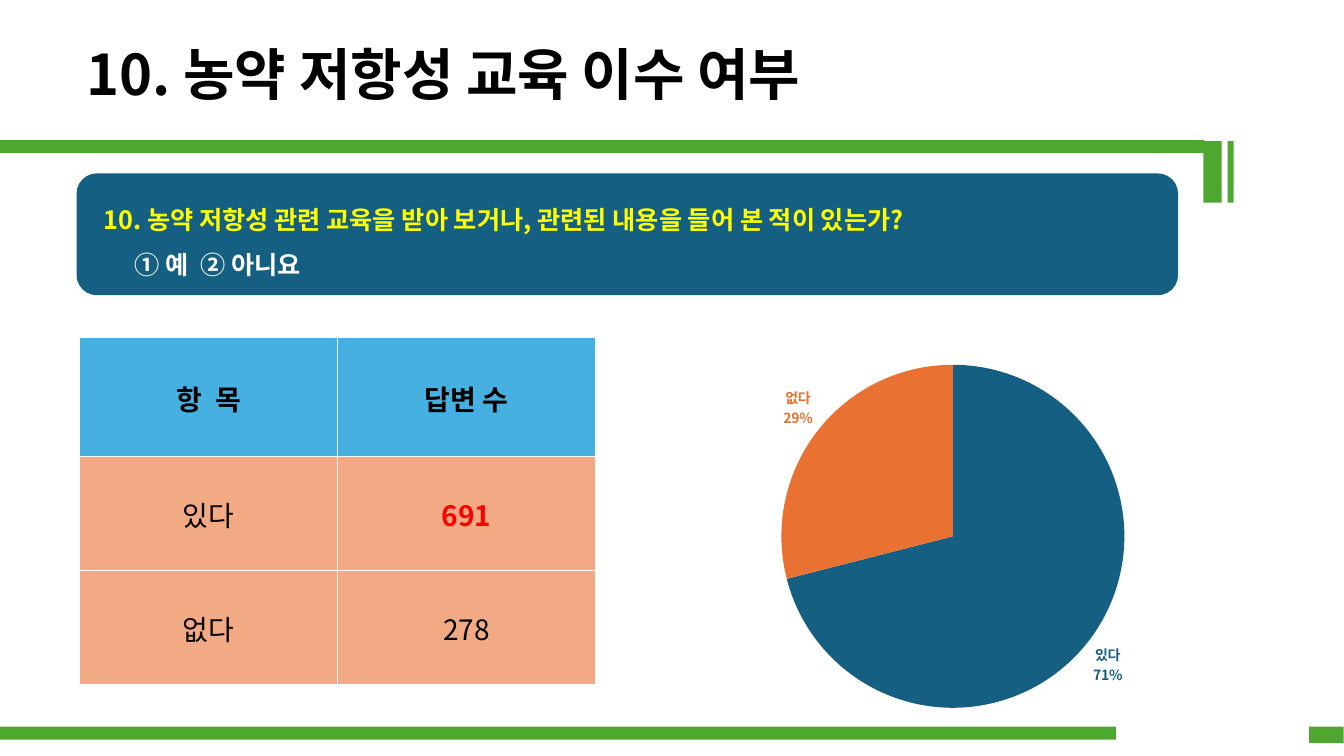
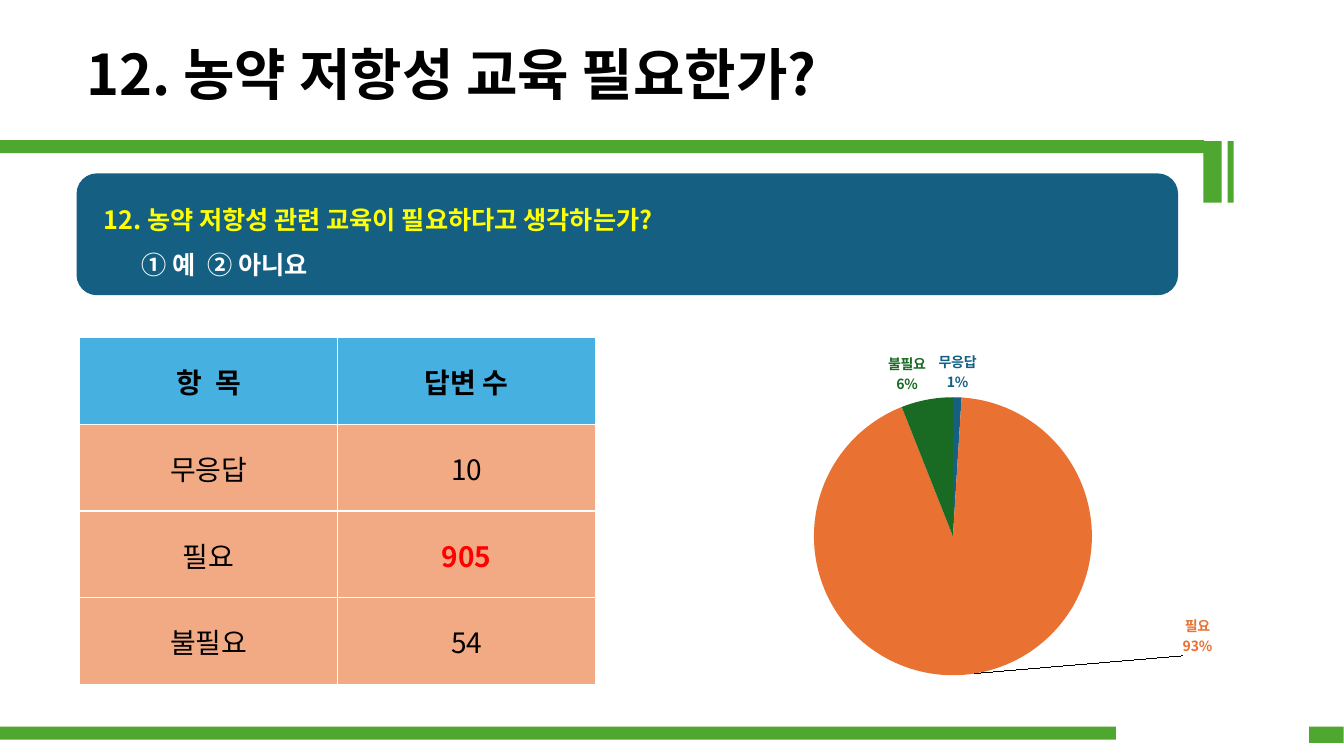
from dataclasses import dataclass
from lxml.etree import SubElement
from pptx import Presentation
from pptx.chart.data import CategoryChartData
from pptx.dml.color import RGBColor
from pptx.enum.chart import XL_CHART_TYPE, XL_LABEL_POSITION
from pptx.enum.shapes import MSO_SHAPE
from pptx.enum.text import MSO_ANCHOR, MSO_AUTO_SIZE, PP_ALIGN
from pptx.oxml.ns import qn
from pptx.util import Cm, Pt


@dataclass(frozen=True)
class Theme:
    font: str = "Noto Sans CJK KR"
    black: str = "000000"
    white: str = "FFFFFF"
    red: str = "FF0000"
    yellow: str = "FFFF00"
    green: str = "4EA72E"
    blue: str = "156082"
    head: str = "46B1E1"
    body: str = "F2AA84"
    slices: tuple = ("156082", "E97132", "196B24")
    title: int = 40
    ask: int = 18
    cell: int = 20
    label: int = 10


theme = Theme()


def add_run(para, text, size, color, bold=True):
    run = para.add_run()
    run.text = text
    run.font.size = Pt(size)
    run.font.bold = bold
    run.font.color.rgb = RGBColor.from_string(color)
    run.font.name = theme.font
    SubElement(run.font._element, qn("a:ea"), typeface=theme.font)


def add_block(slide, kind, box, color):
    block = slide.shapes.add_shape(kind, *[Cm(size) for size in box])
    block.shadow.inherit = False
    block.fill.solid()
    block.fill.fore_color.rgb = RGBColor.from_string(color)
    block.line.fill.background()
    return block


bands = [
    (0, 18.31, 28.12, 0.33),
    (32.99, 18.31, 0.87, 0.41),
    (0, 3.53, 30.35, 0.33),
    (30.33, 3.56, 0.46, 1.55),
    (30.94, 3.56, 0.15, 1.55),
]
pages = [
    {
        "title": "10. 농약 저항성 교육 이수 여부",
        "ask": "10. 농약 저항성 관련 교육을 받아 보거나, 관련된 내용을 들어 본 적이 있는가?",
        "indent": 1.07,
        "rows": [("있다", "691"), ("없다", "278")],
        "top": "691",
        "head": 3,
        "shares": (71, 29),
        "pie": 0.87,
        "moved": {},
    },
    {
        "title": "12. 농약 저항성 교육 필요한가?",
        "ask": "12. 농약 저항성 관련 교육이 필요하다고 생각하는가?",
        "indent": 1.25,
        "rows": [("무응답", "10"), ("필요", "905"), ("불필요", "54")],
        "top": "905",
        "head": 2.18,
        "shares": (1, 93, 6),
        "pie": 0.7,
        "moved": {1: (0.29, -0.16)},
    },
]

deck = Presentation()
deck.slide_width, deck.slide_height = Cm(33.87), Cm(19.05)

for page in pages:
    slide = deck.slides.add_slide(deck.slide_layouts[5])

    title = slide.shapes.title
    title.left, title.top, title.width, title.height = Cm(1.93), Cm(0.86), Cm(20.8), Cm(1.96)
    frame = title.text_frame
    frame.word_wrap = False
    frame.auto_size = MSO_AUTO_SIZE.NONE
    frame.vertical_anchor = MSO_ANCHOR.MIDDLE
    frame.paragraphs[0].alignment = PP_ALIGN.LEFT
    add_run(frame.paragraphs[0], page["title"], theme.title, theme.black)

    panel = add_block(slide, MSO_SHAPE.ROUNDED_RECTANGLE, (1.93, 4.37, 27.76, 3.07), theme.blue)
    frame = panel.text_frame
    frame.word_wrap = True
    frame.vertical_anchor = MSO_ANCHOR.MIDDLE
    lines = [
        (frame.paragraphs[0], page["ask"], theme.yellow, 0.28),
        (frame.add_paragraph(), "① 예  ② 아니요", theme.white, page["indent"]),
    ]
    for para, text, color, indent in lines:
        para.alignment = PP_ALIGN.LEFT
        para.line_spacing = 1.5
        para._p.get_or_add_pPr().set("marL", str(Cm(indent)))
        add_run(para, text, theme.ask, color)

    rows = [("항  목", "답변 수"), *page["rows"]]
    high = 8.74
    grid = slide.shapes.add_table(len(rows), 2, Cm(2.01), Cm(8.51), Cm(13), Cm(high)).table
    for y, row in enumerate(rows):
        grid.rows[y].height = Cm(page["head"] if y == 0 else (high - page["head"]) / (len(rows) - 1))
        for x, text in enumerate(row):
            cell = grid.cell(y, x)
            cell.vertical_anchor = MSO_ANCHOR.MIDDLE
            cell.margin_left = cell.margin_right = cell.margin_top = Cm(0.03)
            cell.margin_bottom = 0
            props = cell._tc.get_or_add_tcPr()
            for side in ("lnL", "lnR", "lnT", "lnB"):
                edge = SubElement(props, qn("a:" + side), w=str(Pt(1)))
                fill = SubElement(edge, qn("a:solidFill"))
                SubElement(fill, qn("a:srgbClr"), val=theme.white)
            cell.fill.solid()
            cell.fill.fore_color.rgb = RGBColor.from_string(theme.body if y else theme.head)
            para = cell.text_frame.paragraphs[0]
            para.alignment = PP_ALIGN.CENTER
            top = text == page["top"]
            add_run(para, text, theme.cell, theme.red if top else theme.black, y == 0 or top)

    data = CategoryChartData()
    data.categories = [name for name, count in page["rows"]]
    data.add_series("Series 1", page["shares"])
    wide, tall = 18.01, 10.01
    chart = slide.shapes.add_chart(
        XL_CHART_TYPE.PIE, Cm(15.01), Cm(8.51), Cm(wide), Cm(tall), data
    ).chart
    chart.has_legend = chart.has_title = False
    chart.font.size = Pt(theme.label)
    chart.font.name = theme.font
    chart.font.color.rgb = RGBColor.from_string(theme.black)
    chart.plots[0].vary_by_categories = True
    series = chart.plots[0].series[0]
    labels = series.data_labels
    labels.show_value = False
    labels.show_category_name = labels.show_percentage = True
    labels.number_format = "0%"
    labels.number_format_is_linked = False
    labels.position = XL_LABEL_POSITION.OUTSIDE_END

    for i in range(len(page["shares"])):
        color = RGBColor.from_string(theme.slices[i])
        point = series.points[i]
        point.format.fill.solid()
        point.format.fill.fore_color.rgb = color
        point.format.line.fill.background()
        font = point.data_label.font
        font.size = Pt(theme.label)
        font.bold = True
        font.name = theme.font
        font.color.rgb = color
        point.data_label.position = XL_LABEL_POSITION.OUTSIDE_END

    for i, label in enumerate(series._element.iter(qn("c:dLbl"))):
        for name, shown in (("showVal", "0"), ("showCatName", "1"), ("showPercent", "1")):
            label.find(qn("c:" + name)).set("val", shown)
        SubElement(label, qn("c:separator")).text = "\n"
        if i in page["moved"]:
            place = SubElement(label, qn("c:layout"))
            label.find(qn("c:idx")).addnext(place)
            spot = SubElement(place, qn("c:manualLayout"))
            for axis, shift in zip("xy", page["moved"][i]):
                SubElement(spot, qn("c:" + axis), val=str(shift))

    plot = chart._chartSpace.find(".//" + qn("c:plotArea"))
    place = plot.find(qn("c:layout"))
    if place is None:
        place = SubElement(plot, qn("c:layout"))
        plot.insert(0, place)
    spot = SubElement(place, qn("c:manualLayout"))
    h = page["pie"]
    w = round(h * tall / wide, 2)
    SubElement(spot, qn("c:layoutTarget"), val="inner")
    for name in ("xMode", "yMode"):
        SubElement(spot, qn("c:" + name), val="edge")
    for name, size in (("x", (1 - w) / 2), ("y", (1 - h) / 2), ("w", w), ("h", h)):
        SubElement(spot, qn("c:" + name), val=str(round(size, 3)))
    for props in chart._chartSpace.iter(qn("a:defRPr")):
        SubElement(props, qn("a:ea"), typeface=theme.font)

    for box in bands:
        add_block(slide, MSO_SHAPE.RECTANGLE, box, theme.green)

deck.save("out.pptx")
